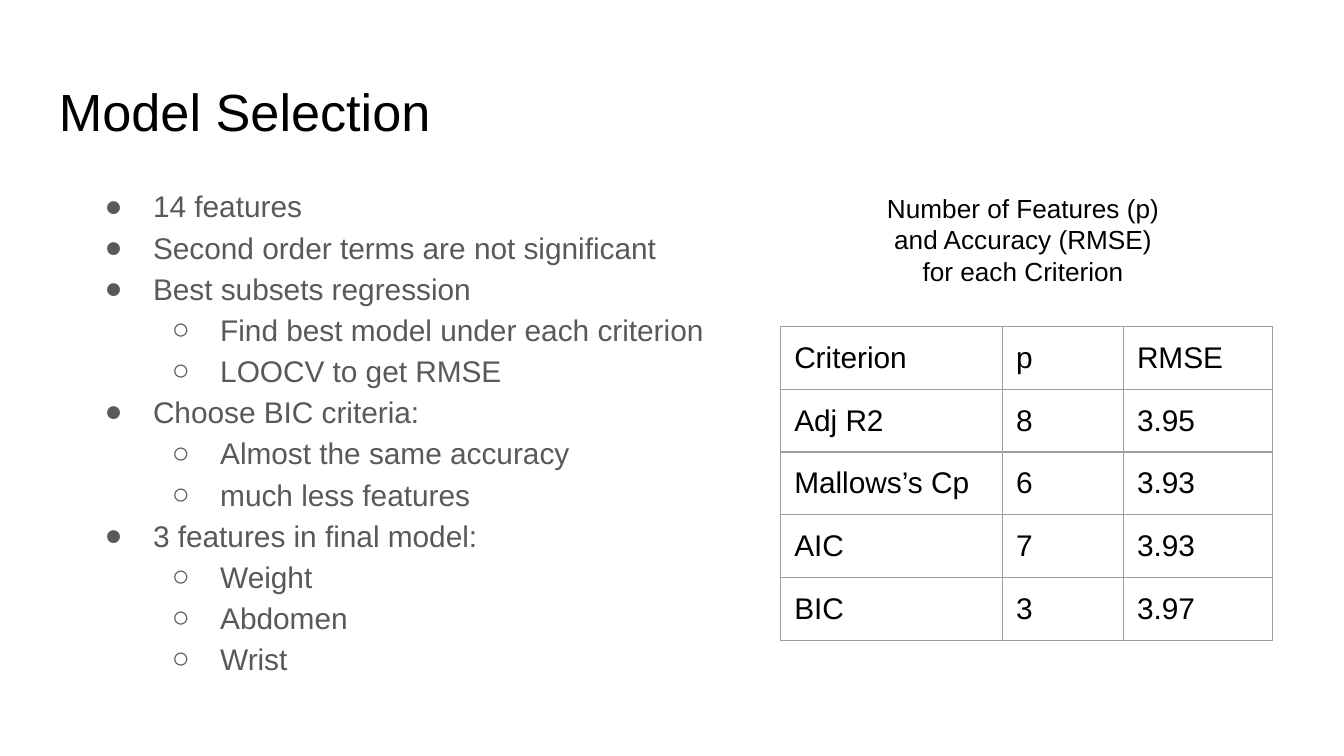
from typing import NamedTuple

from lxml.etree import SubElement
from pptx import Presentation
from pptx.dml.color import RGBColor
from pptx.enum.text import MSO_ANCHOR as Anchor, PP_ALIGN as Align
from pptx.oxml.ns import qn
from pptx.util import Inches, Pt

FONT = "Arial"
COLORS = {"text": "000000", "body": "595959", "border": "9E9E9E", "background": "FFFFFF"}
BULLETS = ("●", "○")
PADDING = Inches(0.1)


class Box(NamedTuple):
    left: float
    top: float
    width: float
    height: float


class Point(NamedTuple):
    text: str
    level: int = 0


POINTS = [
    Point("14 features"),
    Point("Second order terms are not significant"),
    Point("Best subsets regression"),
    Point("Find best model under each criterion", 1),
    Point("LOOCV to get RMSE", 1),
    Point("Choose BIC criteria:"),
    Point("Almost the same accuracy", 1),
    Point("much less features", 1),
    Point("3 features in final model:"),
    Point("Weight", 1),
    Point("Abdomen", 1),
    Point("Wrist", 1),
]
CAPTION = ["Number of Features (p) ", "and Accuracy (RMSE) ", "for each Criterion "]
CRITERIA = [
    ("Criterion", "p", "RMSE"),
    ("Adj R2", "8", "3.95"),
    ("Mallows’s Cp", "6", "3.93"),
    ("AIC", "7", "3.93"),
    ("BIC", "3", "3.97"),
]
COLUMN_WIDTHS = (1.65, 0.9, 1.11)
HEADER_HEIGHT, ROW_HEIGHT = 0.37, 0.43


def add_run(paragraph, text: str, size: float, color: str = "text") -> None:
    run = paragraph.add_run()
    run.text = text
    run.font.name = FONT
    run.font.size = Pt(size)
    run.font.color.rgb = RGBColor.from_string(COLORS[color])


def pad(owner) -> None:
    """Give a text frame or a table cell the same inset on each side."""
    owner.margin_left = owner.margin_right = PADDING
    owner.margin_top = owner.margin_bottom = PADDING


def add_text_frame(slide, box: Box):
    frame = slide.shapes.add_textbox(*map(Inches, box)).text_frame
    frame.word_wrap = True
    pad(frame)
    return frame


def set_bullet(paragraph, level: int) -> None:
    paragraph.level = level
    props = paragraph._p.get_or_add_pPr()
    props.set("marL", str(Inches(0.5 * (level + 1))))
    props.set("indent", str(Inches(-0.36)))
    bullet_color = SubElement(props, qn("a:buClr"))
    SubElement(bullet_color, qn("a:srgbClr"), val=COLORS["body"])
    SubElement(props, qn("a:buSzPts"), val="1600")
    SubElement(props, qn("a:buFont"), typeface=FONT)
    SubElement(props, qn("a:buChar"), char=BULLETS[level])


def add_points(slide, box: Box, points: list[Point]) -> None:
    frame = add_text_frame(slide, box)
    for index, point in enumerate(points):
        paragraph = frame.add_paragraph() if index else frame.paragraphs[0]
        paragraph.line_spacing = 1.15
        set_bullet(paragraph, point.level)
        add_run(paragraph, point.text, 16, "body")


def set_borders(cell) -> None:
    props = cell._tc.get_or_add_tcPr()
    for index, side in enumerate(("lnL", "lnR", "lnT", "lnB")):
        line = props.makeelement(qn(f"a:{side}"), {"w": str(Pt(0.75))})
        fill = SubElement(line, qn("a:solidFill"))
        SubElement(fill, qn("a:srgbClr"), val=COLORS["border"])
        props.insert(index, line)


def add_criteria_table(slide, box: Box) -> None:
    frame = slide.shapes.add_table(
        len(CRITERIA), len(COLUMN_WIDTHS), *map(Inches, box)
    )
    table = frame.table
    table.first_row = table.horz_banding = False
    for column, width in zip(table.columns, COLUMN_WIDTHS):
        column.width = Inches(width)
    for index, (row, values) in enumerate(zip(table.rows, CRITERIA)):
        row.height = Inches(ROW_HEIGHT if index else HEADER_HEIGHT)
        for cell, value in zip(row.cells, values):
            cell.fill.background()
            cell.vertical_anchor = Anchor.MIDDLE
            pad(cell)
            set_borders(cell)
            paragraph = cell.text_frame.paragraphs[0]
            paragraph.line_spacing = 1.0
            paragraph.space_before = paragraph.space_after = Pt(0)
            add_run(paragraph, value, 16)
    # Row and column sizes reset the frame, so its size is set last
    frame.width, frame.height = Inches(box.width), Inches(box.height)


def main() -> None:
    deck = Presentation()
    deck.slide_width = Inches(10)
    deck.slide_height = deck.slide_width * 9 // 16
    slide = deck.slides.add_slide(deck.slide_layouts[6])
    slide.background.fill.solid()
    slide.background.fill.fore_color.rgb = RGBColor.from_string(COLORS["background"])

    # Title
    title = add_text_frame(slide, Box(0.34, 0.49, 9.32, 0.63))
    add_run(title.paragraphs[0], "Model Selection", 28)

    # Criterion table
    add_criteria_table(slide, Box(5.81, 2.43, 3.28, 3.28))

    # Bulleted findings
    add_points(slide, Box(0.54, 1.26, 5.02, 3.74), POINTS)

    # Table caption
    caption = add_text_frame(slide, Box(5.81, 1.33, 3.66, 0.94)).paragraphs[0]
    caption.alignment = Align.CENTER
    for index, line in enumerate(CAPTION):
        if index:
            caption.add_line_break()
        add_run(caption, line, 14)

    deck.save("out.pptx")


if __name__ == "__main__":
    main()
